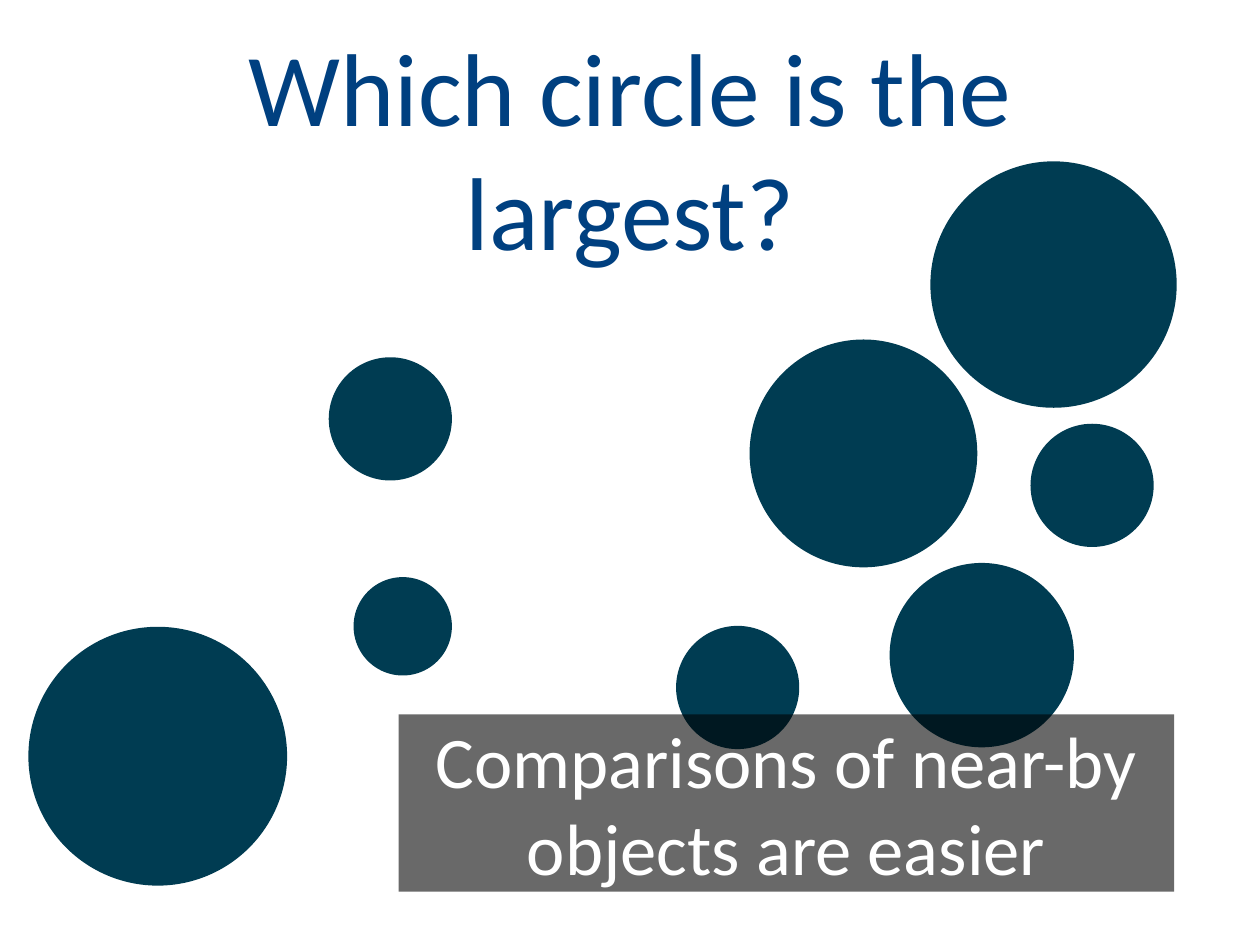
from lxml.etree import SubElement
from pptx import Presentation
from pptx.dml.color import RGBColor
from pptx.enum.shapes import MSO_SHAPE
from pptx.enum.text import MSO_ANCHOR, MSO_AUTO_SIZE, PP_ALIGN
from pptx.oxml.ns import qn
from pptx.util import Emu, Pt

PX = 9144  # 100 px to the inch


def box(*lengths):
    return [Emu(n * PX) for n in lengths]


def style_text(sp, text, size, color, inset):
    tf = sp.text_frame
    tf.word_wrap = True
    tf.auto_size = MSO_AUTO_SIZE.NONE
    tf.vertical_anchor = MSO_ANCHOR.MIDDLE
    tf.margin_left = tf.margin_top = tf.margin_right = tf.margin_bottom = Emu(inset * PX)
    p = tf.paragraphs[0]
    p.text = text
    p.alignment = PP_ALIGN.CENTER
    p.font.name = "Calibri"
    p.font.size = Pt(size)
    p.font.color.rgb = RGBColor.from_string(color)


prs = Presentation()
prs.slide_width, prs.slide_height = box(1422, 1066)
s = prs.slides.add_slide(prs.slide_layouts[5])

# Title
title = s.shapes.title
title.left, title.top, title.width, title.height = box(139, 28, 1144, 276)
style_text(title, "Which circle is the largest?", 84, "004080", 6)

# Circles: left, top, diameter
circles = [
    (371, 403, 139),
    (763, 706, 139),
    (846, 383, 257),
    (32, 707, 292),
    (399, 651, 111),
    (1004, 635, 208),
    (1163, 478, 139),
    (1050, 182, 278),
]
for left, top, size in circles:
    sp = s.shapes.add_shape(MSO_SHAPE.OVAL, *box(left, top, size, size))
    sp.shadow.inherit = False
    sp.fill.solid()
    sp.fill.fore_color.rgb = RGBColor.from_string("003C52")
    sp.line.fill.background()

# Translucent caption
caption = s.shapes.add_shape(MSO_SHAPE.RECTANGLE, *box(450, 806, 875, 200))
caption.shadow.inherit = False
caption.fill.solid()
caption.fill.fore_color.rgb = RGBColor.from_string("000000")
fill_color = caption.fill._xPr.find(qn("a:solidFill"))[0]
SubElement(fill_color, qn("a:alpha"), val="59000")
caption.line.fill.background()
style_text(caption, "Comparisons of near-by objects are easier", 59, "FFFFFF", 0)

prs.save("out.pptx")
